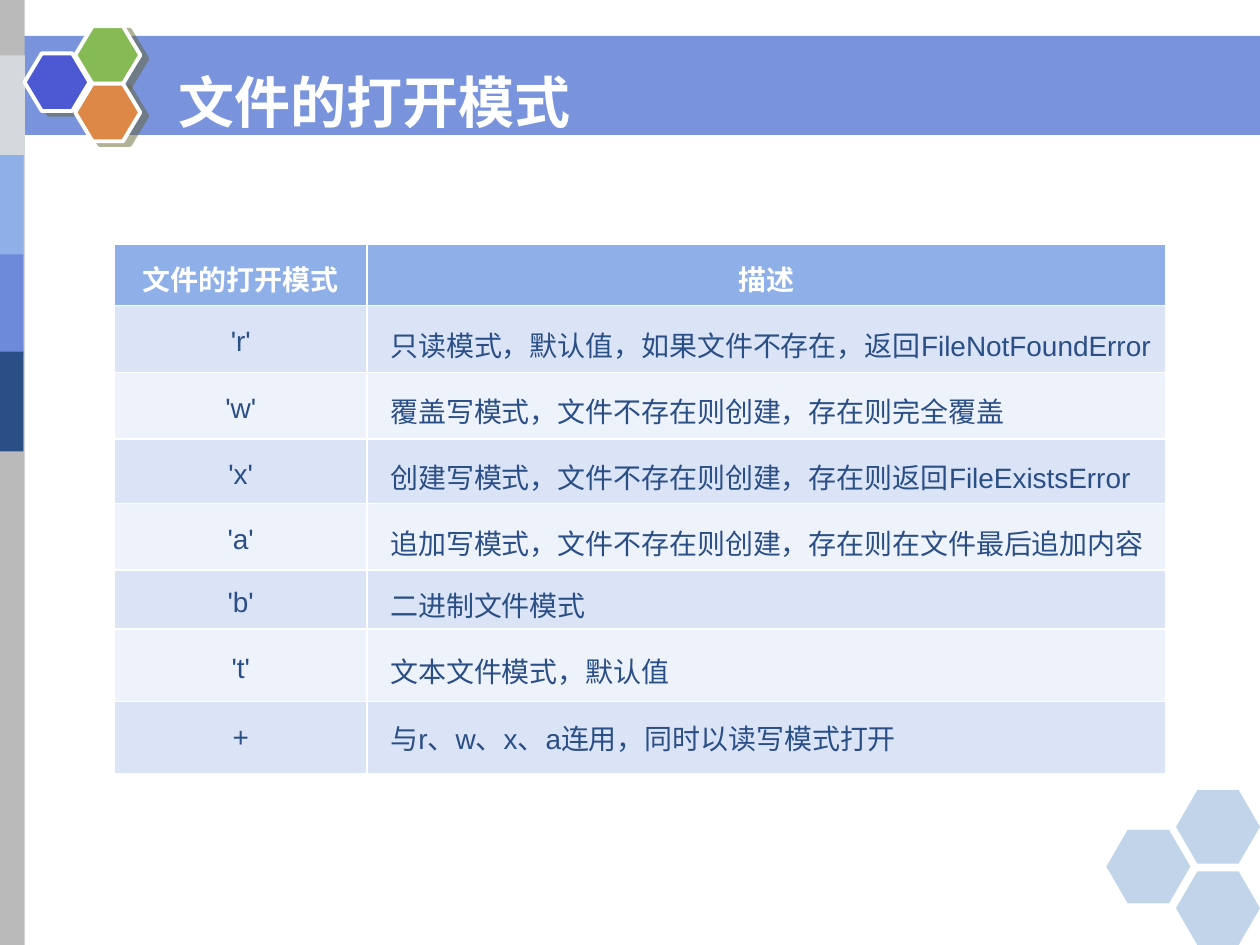
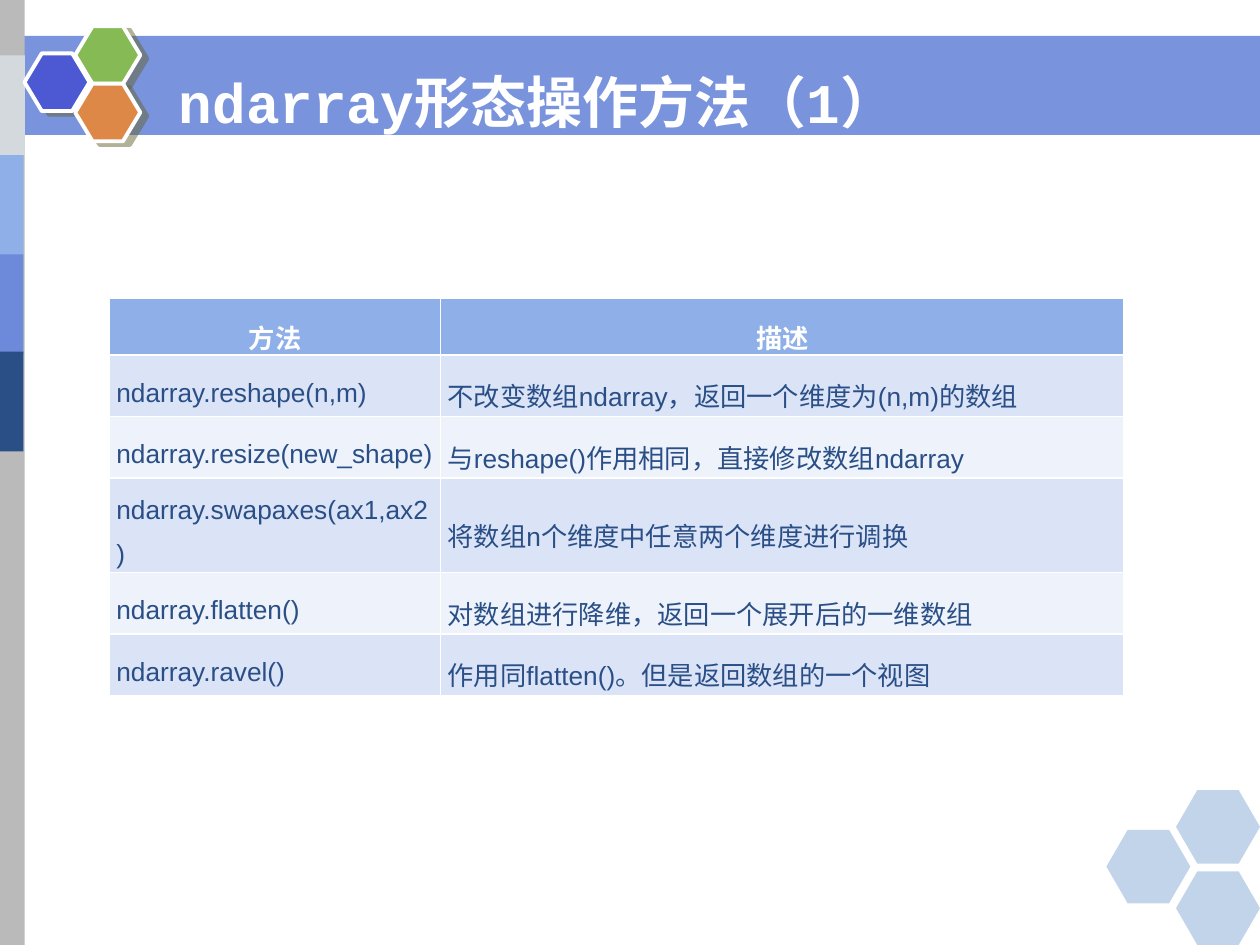
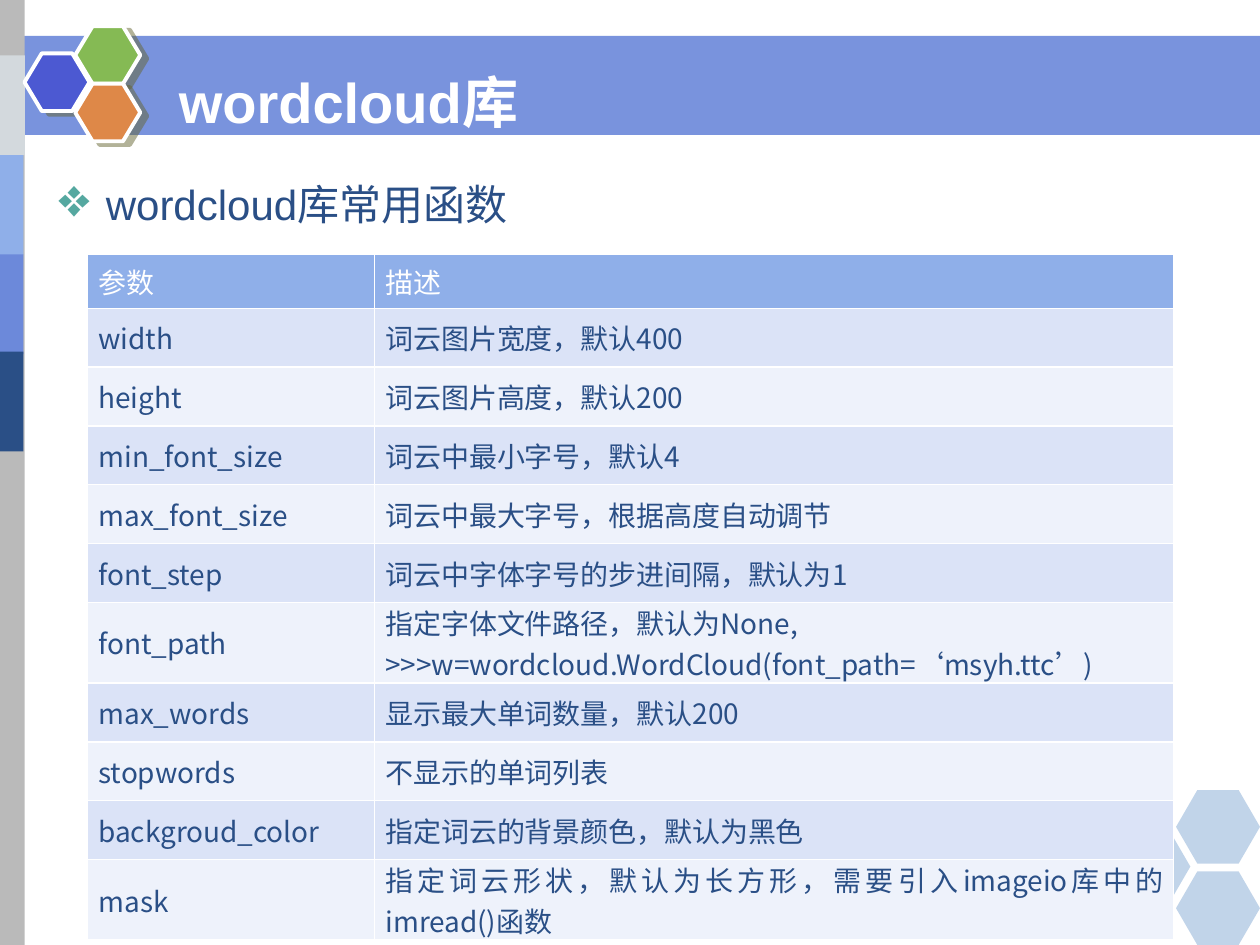
from lxml import etree
from pptx import Presentation
from pptx.dml.color import RGBColor
from pptx.enum.shapes import MSO_SHAPE
from pptx.enum.text import MSO_ANCHOR, PP_ALIGN
from pptx.oxml.ns import qn
from pptx.util import Pt

RECTANGLE, HEXAGON = MSO_SHAPE.RECTANGLE, MSO_SHAPE.HEXAGON
LEFT, CENTER, JUSTIFY = PP_ALIGN.LEFT, PP_ALIGN.CENTER, PP_ALIGN.JUSTIFY
MIDDLE = MSO_ANCHOR.MIDDLE

COLORS = {
    "white": "FFFFFF", "band": "6C89DA", "rail": "BABABA", "silver": "D3D9DD",
    "sky": "8FAFE9", "navy": "2A4F86", "indigo": "4C59D2", "green": "85BA54",
    "orange": "DE8848", "shadow": "666633", "pale": "5086C2",
    "odd": "DBE3F7", "even": "EEF2FB", "bullet": "55A8A0",
}
CJK = "Noto Sans CJK SC"

# Shared decoration: (left, top, width, height, colour, opacity in percent)
BARS = [
    (0, 20.5, 720, 56.7, "band", 91),
    (-0.72, 0, 14.8, 540, "rail", 100),
    (0, 31.7, 14.2, 57, "silver", 100),
    (-1.44, 88.6, 14.8, 57, "sky", 100),
    (-1.44, 145.4, 14.8, 57, "band", 100),
    (-1.44, 200.9, 14.8, 57, "navy", 100),
]
BADGE = [(14, 30.5, "indigo"), (43, 15, "green"), (43, 47.8, "orange")]
CORNER = [(632.2, 474.2), (672, 451.5), (672, 498)]

# Slide content; insets are left, top, right, bottom
SLIDES = [
    {
        "title": "文件的打开模式", "title_font": "Courier New",
        "table": {
            "left": 65.3, "top": 139.7, "widths": [144.5, 456.4],
            "heights": [34.9, 38.3, 37.9, 37, 38, 33.7, 41.5, 41],
            "header": dict(size=16, font="Arial", bold=True, align=CENTER, before=4.7),
            "columns": [
                dict(size=16, font="Arial", align=CENTER, before=4.5),
                dict(size=16, font="Arial", align=LEFT, before=7.7, indent=13.3),
            ],
            "header_insets": (0, 3.6, 0, 0),
            "insets": [(0, 3.6, 0, 0), (0, 5.8, 0, 0)],
            "last_row": {"before": 7.7},
            "last_insets": (0, 0, 0, 0),
            "rows": [
                ("文件的打开模式", "描述"),
                ("'r'", "只读模式，默认值，如果文件不存在，返回FileNotFoundError"),
                ("'w'", "覆盖写模式，文件不存在则创建，存在则完全覆盖"),
                ("'x'", "创建写模式，文件不存在则创建，存在则返回FileExistsError"),
                ("'a'", "追加写模式，文件不存在则创建，存在则在文件最后追加内容"),
                ("'b'", "二进制文件模式"),
                ("'t'", "文本文件模式，默认值"),
                ("+", "与r、w、x、a连用，同时以读写模式打开"),
            ],
        },
    },
    {
        "title": "ndarray形态操作方法（1）", "title_font": "Courier New",
        "table": {
            "left": 62.5, "top": 170.7, "widths": [189.3, 390.5],
            "heights": [32.2, 35.2, 35.2, 50.3, 35.2, 35.2],
            "header": dict(size=15, font="Arial", bold=True, align=CENTER, line=1.5),
            "columns": [dict(size=15, font="Arial", align=JUSTIFY, line=1.5)] * 2,
            "header_insets": (4, 0, 4, 0),
            "insets": [(4, 0, 4, 0)] * 2,
            "rows": [
                ("方法", "描述"),
                ("ndarray.reshape(n,m)", "不改变数组ndarray，返回一个维度为(n,m)的数组"),
                ("ndarray.resize(new_shape)", "与reshape()作用相同，直接修改数组ndarray"),
                ("ndarray.swapaxes(ax1,ax2)", "将数组n个维度中任意两个维度进行调换"),
                ("ndarray.flatten()", "对数组进行降维，返回一个展开后的一维数组"),
                ("ndarray.ravel()", "作用同flatten()。但是返回数组的一个视图"),
            ],
        },
    },
    {
        "title": "wordcloud库", "title_font": "Arial",
        "body": "wordcloud库常用函数",
        "table": {
            "left": 50, "top": 145.5, "widths": [164, 456.5],
            "heights": [30.7] + [33.6] * 5 + [46.2] + [33.6] * 3 + [46.2],
            "header": dict(size=16, font=CJK, align=JUSTIFY),
            "columns": [dict(size=16, font=CJK, align=JUSTIFY)] * 2,
            "header_insets": (6.3, 0, 5.4, 0),
            "insets": [(6.3, 0, 5.4, 0)] * 2,
            "rows": [
                ("参数", "描述"),
                ("width", "词云图片宽度，默认400"),
                ("height", "词云图片高度，默认200"),
                ("min_font_size", "词云中最小字号，默认4"),
                ("max_font_size", "词云中最大字号，根据高度自动调节"),
                ("font_step", "词云中字体字号的步进间隔，默认为1"),
                ("font_path", "指定字体文件路径，默认为None,\n"
                              ">>>w=wordcloud.WordCloud(font_path=‘msyh.ttc’)"),
                ("max_words", "显示最大单词数量，默认200"),
                ("stopwords", "不显示的单词列表"),
                ("backgroud_color", "指定词云的背景颜色，默认为黑色"),
                ("mask", "指定词云形状，默认为长方形，需要引入imageio库中的imread()函数"),
            ],
        },
    },
]


def rgb(name):
    return RGBColor.from_string(COLORS[name])


def add_color(parent, name, opacity=100):
    color = etree.SubElement(parent, qn("a:srgbClr"), val=COLORS[name])
    if opacity < 100:
        etree.SubElement(color, qn("a:alpha"), val=str(opacity * 1000))


def write(text_frame, text, *, size, font, color, bold=False, align=LEFT,
          before=0, line=None, indent=0, bullet=None):
    """Fill a text frame, one paragraph per line of text."""
    text_frame.word_wrap = True
    for index, content in enumerate(text.split("\n")):
        paragraph = text_frame.add_paragraph() if index else text_frame.paragraphs[0]
        paragraph.alignment = align
        paragraph.space_before = Pt(before)
        if line:
            paragraph.line_spacing = line
        properties = paragraph._p.get_or_add_pPr()
        properties.set("marL", str(Pt(indent)))
        properties.set("indent", str(Pt(-indent if bullet else 0)))
        if bullet:
            add_color(etree.SubElement(properties, qn("a:buClr")), "bullet")
            etree.SubElement(properties, qn("a:buSzPct"), val="130000")
            etree.SubElement(properties, qn("a:buChar"), char=bullet)
        run = paragraph.add_run()
        run.text = content
        run.font.size = Pt(size)
        run.font.name = font
        run.font.bold = bold
        run.font.color.rgb = rgb(color)
        etree.SubElement(run._r.get_or_add_rPr(), qn("a:ea"), typeface=CJK)


def set_insets(target, insets):
    (target.margin_left, target.margin_top,
     target.margin_right, target.margin_bottom) = map(Pt, insets)


def add_shape(slide, kind, box, color, opacity=100):
    shape = slide.shapes.add_shape(kind, *map(Pt, box))
    shape.shadow.inherit = False
    shape.fill.solid()
    shape.fill.fore_color.rgb = rgb(color)
    if opacity < 100:
        solid_color = shape._element.spPr.find(qn("a:solidFill"))[0]
        etree.SubElement(solid_color, qn("a:alpha"), val=str(opacity * 1000))
    shape.line.fill.background()
    return shape


def add_decoration(slide):
    for *box, color, opacity in BARS:
        add_shape(slide, RECTANGLE, box, color, opacity)
    for left, top, color in BADGE:
        hexagon = add_shape(slide, HEXAGON, (left, top, 37.2, 33), color)
        hexagon.adjustments[0] = 0.3
        hexagon.line.color.rgb = rgb("white")
        hexagon.line.width = Pt(2.25)
        effects = hexagon._element.spPr.find(qn("a:effectLst"))
        shadow = etree.SubElement(effects, qn("a:outerShdw"), blurRad="0",
                                  dist=str(Pt(4.5)), dir=str(27 * 60000))
        add_color(shadow, "shadow", 50)
    for left, top in CORNER:
        hexagon = add_shape(slide, HEXAGON, (left, top, 48, 42), "pale", 35)
        hexagon.adjustments[0] = 0.29


def add_text_box(slide, box, text, insets, anchor=None, **text_format):
    text_frame = slide.shapes.add_textbox(*map(Pt, box)).text_frame
    set_insets(text_frame, insets)
    text_frame.vertical_anchor = anchor
    write(text_frame, text, **text_format)


def set_borders(cell):
    properties = cell._tc.get_or_add_tcPr()
    for position, side in enumerate(("a:lnL", "a:lnR", "a:lnT", "a:lnB")):
        border = etree.Element(qn(side), w=str(Pt(1)))
        add_color(etree.SubElement(border, qn("a:solidFill")), "white")
        properties.insert(position, border)


def add_grid(slide, data):
    rows, widths, heights = data["rows"], data["widths"], data["heights"]
    box = (data["left"], data["top"], sum(widths), sum(heights))
    table = slide.shapes.add_table(len(rows), len(widths), *map(Pt, box)).table
    for column, width in zip(table.columns, widths):
        column.width = Pt(width)
    for row_index, (texts, height) in enumerate(zip(rows, heights)):
        table.rows[row_index].height = Pt(height)
        is_header = row_index == 0
        is_last = row_index == len(rows) - 1
        for column_index, text in enumerate(texts):
            cell = table.cell(row_index, column_index)
            text_format = data["header"] if is_header else data["columns"][column_index]
            insets = data["header_insets"] if is_header else data["insets"][column_index]
            if is_last:
                text_format = text_format | data.get("last_row", {})
                insets = data.get("last_insets", insets)
            set_insets(cell, insets)
            cell.vertical_anchor = MIDDLE
            cell.fill.solid()
            fill = "sky" if is_header else ("even", "odd")[row_index % 2]
            cell.fill.fore_color.rgb = rgb(fill)
            set_borders(cell)
            write(cell.text_frame, text, color="white" if is_header else "navy",
                  **text_format)


def main():
    presentation = Presentation()
    presentation.slide_width, presentation.slide_height = Pt(720), Pt(540)
    for content in SLIDES:
        slide = presentation.slides.add_slide(presentation.slide_layouts[6])
        add_decoration(slide)
        add_text_box(slide, (94.3, 32.4, 580, 50.4), content["title"],
                     (7.9, 4.3, 7.9, 4.3), MIDDLE, size=32, bold=True,
                     font=content["title_font"], color="white", align=JUSTIFY)
        if "body" in content:
            add_text_box(slide, (26.4, 98.3, 667.5, 46.8), content["body"],
                         (7.2, 3.6, 7.2, 3.6), size=24, font="Arial", color="navy",
                         align=JUSTIFY, before=4.8, indent=27, bullet="❖")
        add_grid(slide, content["table"])
    presentation.save("out.pptx")


if __name__ == "__main__":
    main()
